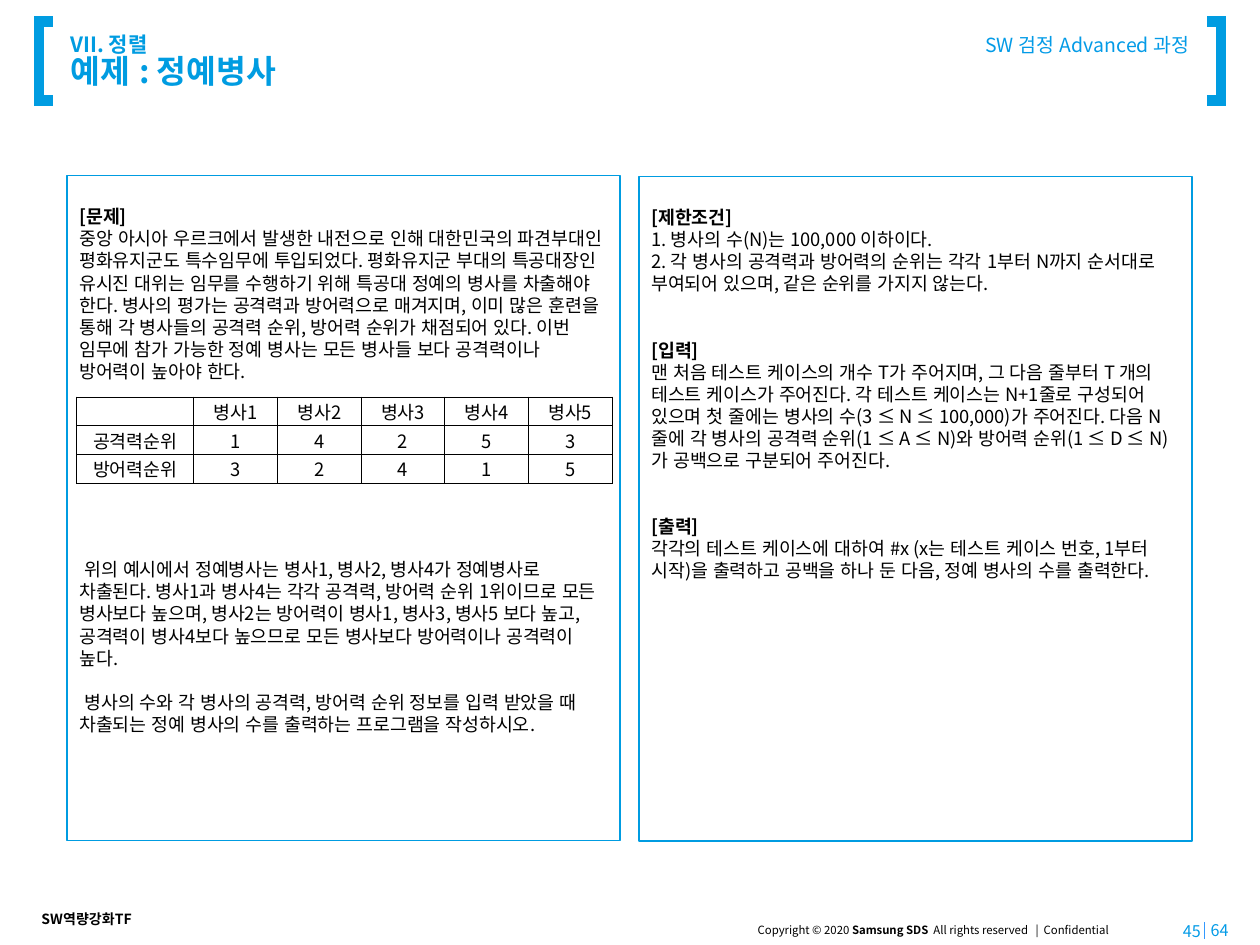
from dataclasses import dataclass
from lxml.etree import SubElement as Sub
from pptx import Presentation
from pptx.dml.color import RGBColor as Color
from pptx.enum.lang import MSO_LANGUAGE_ID as Lang
from pptx.enum.shapes import MSO_CONNECTOR as Link, MSO_SHAPE as Shape
from pptx.enum.text import MSO_ANCHOR as Anchor, MSO_AUTO_SIZE as Auto, PP_ALIGN as Align
from pptx.oxml.ns import qn
from pptx.util import Pt


@dataclass(frozen=True)
class Theme:
    font: str = "Noto Sans CJK KR"
    blue: str = "009CE1"
    sky: str = "039BE7"
    rule: str = "3399FF"
    black: str = "000000"
    body: float = 10.5
    head: float = 18.5
    topic: float = 12
    course: float = 11.1
    page: float = 9.2
    team: float = 8
    legal: float = 6.5
    lead: float = 1.2
    tight: float = 0.86


THEME = Theme()
LINE = THEME.body * THEME.lead

TASK = [
    ("[문제]", True, 0),
    ("중앙 아시아 우르크에서 발생한 내전으로 인해 대한민국의 파견부대인 평화유지군도 특수임무에 투입되었다. "
     "평화유지군 부대의 특공대장인 유시진 대위는 임무를 수행하기 위해 특공대 정예의 병사를 차출해야 한다. "
     "병사의 평가는 공격력과 방어력으로 매겨지며, 이미 많은 훈련을 통해 각 병사들의 공격력 순위, "
     "방어력 순위가 채점되어 있다. 이번 임무에 참가 가능한 정예 병사는 모든 병사들 보다 공격력이나 "
     "방어력이 높아야 한다.", False, 0),
    (" 위의 예시에서 정예병사는 병사1, 병사2, 병사4가 정예병사로 차출된다. 병사1과 병사4는 각각 공격력, "
     "방어력 순위 1위이므로 모든 병사보다 높으며, 병사2는 방어력이 병사1, 병사3, 병사5 보다 높고, "
     "공격력이 병사4보다 높으므로 모든 병사보다 방어력이나 공격력이 높다.", False, 8),
    (" 병사의 수와 각 병사의 공격력, 방어력 순위 정보를 입력 받았을 때 차출되는 정예 병사의 수를 "
     "출력하는 프로그램을 작성하시오.", False, 1),
]
RULES = [
    ("[제한조건]", True, 0),
    ("1. 병사의 수(N)는 100,000 이하이다.", False, 0),
    ("2. 각 병사의 공격력과 방어력의 순위는 각각 1부터 N까지 순서대로 부여되어 있으며, "
     "같은 순위를 가지지 않는다.", False, 0),
    ("[입력]", True, 2),
    ("맨 처음 테스트 케이스의 개수 T가 주어지며, 그 다음 줄부터 T 개의 테스트 케이스가 주어진다. "
     "각 테스트 케이스는 N+1줄로 구성되어 있으며 첫 줄에는 병사의 수(3 ≤ N ≤ 100,000)가 주어진다. "
     "다음 N줄에 각 병사의 공격력 순위(1 ≤ A ≤ N)와 방어력 순위(1 ≤ D ≤ N)가 공백으로 구분되어 "
     "주어진다.", False, 0),
    ("[출력]", True, 2),
    ("각각의 테스트 케이스에 대하여 #x (x는 테스트 케이스 번호, 1부터 시작)을 출력하고 공백을 하나 둔 다음, "
     "정예 병사의 수를 출력한다.", False, 0),
]
RANKS = [
    ["", "병사1", "병사2", "병사3", "병사4", "병사5"],
    ["공격력순위", "1", "4", "2", "5", "3"],
    ["방어력순위", "3", "2", "4", "1", "5"],
]


def add_run(para, text, size, tint=THEME.black, bold=False):
    run = para.add_run()
    run.text = text
    font = run.font
    font.size, font.bold, font.name = Pt(size), bold, THEME.font
    font.color.rgb = Color.from_string(tint)
    font.language_id = Lang.KOREAN
    Sub(run._r.get_or_add_rPr(), qn("a:ea"), typeface=THEME.font)


def set_frame(frame, pads, anchor=Anchor.TOP):
    frame.word_wrap = True
    frame.auto_size = Auto.NONE
    frame.vertical_anchor = anchor
    frame.margin_left, frame.margin_top, frame.margin_right, frame.margin_bottom = map(Pt, pads)


def add_label(slide, place, runs, size, tint=THEME.black, align=Align.LEFT,
              pads=(7.2, 3.6, 7.2, 3.6), anchor=Anchor.TOP):
    frame = slide.shapes.add_textbox(*map(Pt, place)).text_frame
    set_frame(frame, pads, anchor)
    para = frame.paragraphs[0]
    para.alignment = align
    para.line_spacing = Pt(size * THEME.lead)
    for text, bold in runs:
        add_run(para, text, size, tint, bold)


def add_title(slide):
    title = slide.shapes.title
    title.left, title.top, title.width, title.height = map(Pt, (40.3, 15.8, 597, 36.7))
    set_frame(title.text_frame, (0, 6.6, 7.2, 3.6), Anchor.MIDDLE)
    para = title.text_frame.paragraphs[0]
    para.alignment = Align.LEFT
    para.line_spacing = THEME.tight
    add_run(para, "VII. 정렬", THEME.topic, THEME.blue, True)
    para.add_line_break()
    add_run(para, "예제 : 정예병사", THEME.head, THEME.blue, True)


def add_bracket(slide, tip, spine):
    top, base = 12.4, 57.4
    pen = slide.shapes.build_freeform(Pt(tip), Pt(base))
    pen.add_line_segments([(Pt(x), Pt(y)) for x, y in ((spine, base), (spine, top), (tip, top))], close=False)
    mark = pen.convert_to_shape()
    mark.shadow.inherit = False
    mark.fill.background()
    mark.line.color.rgb = Color.from_string(THEME.blue)
    mark.line.width = Pt(6)
    Sub(mark.line._get_or_add_ln(), qn("a:miter"), lim="800000")


def add_panel(slide, left, top, items):
    box = slide.shapes.add_shape(Shape.RECTANGLE, *map(Pt, (left, top, 316, 380)))
    box.shadow.inherit = False
    box.fill.background()
    box.line.color.rgb = Color.from_string(THEME.blue)
    box.line.width = Pt(0.75)
    frame = box.text_frame
    set_frame(frame, (7.2, 4.6 + LINE, 7.2, 3.6))
    for spot, (text, bold, gap) in enumerate(items):
        para = frame.add_paragraph() if spot else frame.paragraphs[0]
        para.alignment = Align.LEFT
        para.line_spacing = Pt(LINE)
        if gap:
            para.space_before = Pt(gap * LINE)
        add_run(para, text, THEME.body, bold=bold)


def add_edge(cell):
    props = cell._tc.get_or_add_tcPr()
    for spot, side in enumerate(("lnL", "lnR", "lnT", "lnB")):
        edge = props.makeelement(qn(f"a:{side}"), {"w": str(Pt(0.5))})
        fill = Sub(edge, qn("a:solidFill"))
        Sub(fill, qn("a:srgbClr"), val=THEME.black)
        props.insert(spot, edge)


def add_ranks(slide):
    rows, cols = len(RANKS), len(RANKS[0])
    grid = slide.shapes.add_table(rows, cols, *map(Pt, (43.8, 226.9, 306, 49.2))).table
    grid.first_row = grid.horz_banding = False
    for spot, col in enumerate(grid.columns):
        col.width = Pt(47.8 if spot else 67)
    for row, texts in zip(grid.rows, RANKS):
        row.height = Pt(16.4)
        for cell, text in zip(row.cells, texts):
            cell.fill.background()
            cell.vertical_anchor = Anchor.MIDDLE
            cell.margin_left = cell.margin_right = Pt(5)
            cell.margin_top = cell.margin_bottom = 0
            para = cell.text_frame.paragraphs[0]
            para.alignment = Align.CENTER
            para.font.size = Pt(THEME.body)
            if text:
                add_run(para, text, THEME.body)
            add_edge(cell)


def add_rule(slide):
    rule = slide.shapes.add_connector(Link.STRAIGHT, *map(Pt, (688.3, 527, 688.3, 536.4)))
    rule.line.color.rgb = Color.from_string(THEME.rule)
    rule.line.width = Pt(0.75)
    Sub(rule._element.spPr, qn("a:effectLst"))


def add_foot(slide):
    legal = [("Copyright © 2020 ", False), ("Samsung SDS", True),
             ("  All rights reserved   |  Confidential ", False)]
    add_label(slide, (380.9, 524.2, 261.4, 15), legal, THEME.legal,
              align=Align.RIGHT, pads=(0, 3.6, 7.2, 3.6))
    add_rule(slide)
    for left, top, text, align in ((661, 524.9, "45", Align.RIGHT), (685.4, 524.2, "64", Align.LEFT)):
        add_label(slide, (left, top, 31.7, 14.4), [(text, False)], THEME.page, THEME.sky,
                  align, (6.5, 3.6, 6.5, 3.6), Anchor.MIDDLE)
    add_label(slide, (16.6, 517, 68.4, 17.3), [("SW역량강화TF", True)], THEME.team)


def main():
    deck = Presentation()
    deck.slide_width, deck.slide_height = Pt(720), Pt(540)
    slide = deck.slides.add_slide(deck.slide_layouts[5])
    add_bracket(slide, 30.2, 22.4)
    add_bracket(slide, 689.8, 697.6)
    add_foot(slide)
    add_panel(slide, 38.3, 100.2, TASK)
    add_panel(slide, 365.2, 100.7, RULES)
    add_title(slide)
    add_label(slide, (444.2, 15.1, 235.4, 28.1), [("SW 검정 Advanced 과정", False)],
              THEME.course, THEME.sky, Align.RIGHT, (0, 3.6, 0, 3.6))
    add_ranks(slide)
    deck.save("out.pptx")


if __name__ == "__main__":
    main()
